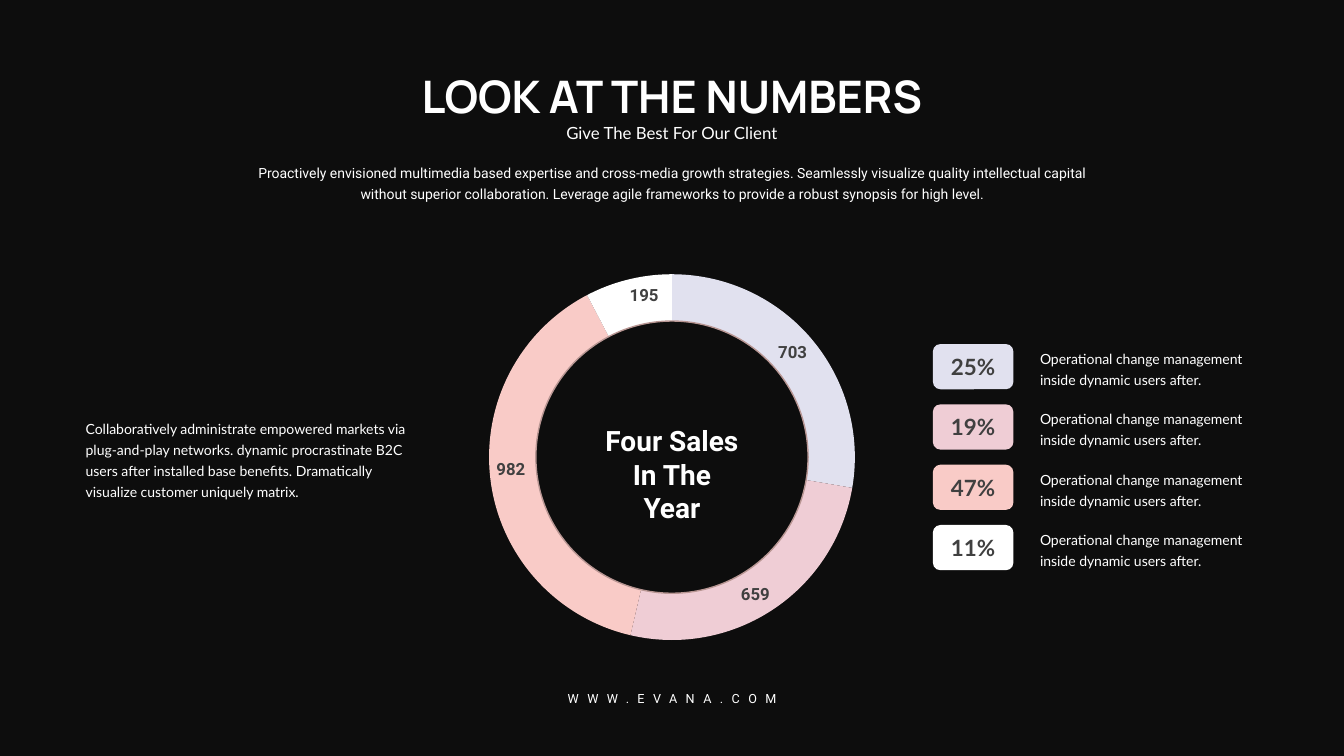
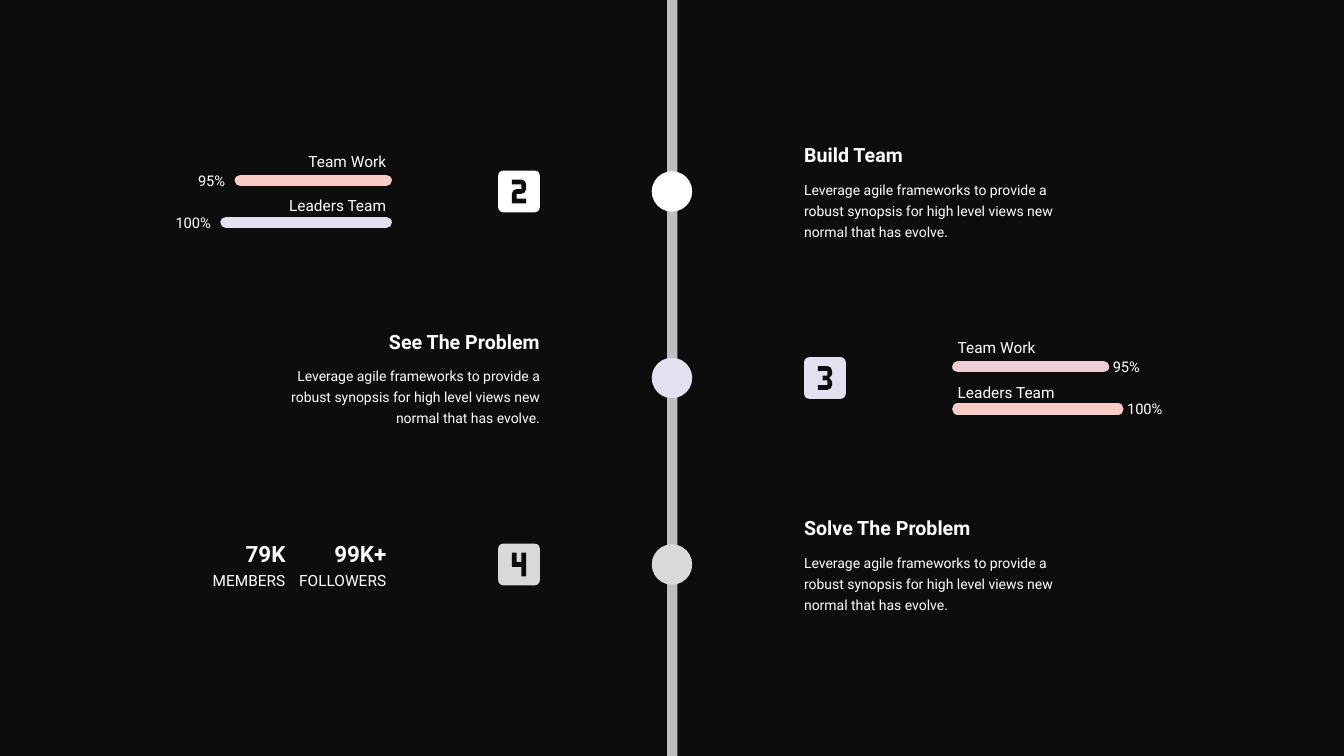
import lxml.etree
import pptx
import pptx.chart.data
import pptx.dml.color
import pptx.enum.chart
import pptx.enum.shapes
import pptx.enum.text
import pptx.oxml.ns
import pptx.util

Cm = pptx.util.Cm
Pt = pptx.util.Pt
SHAPES = pptx.enum.shapes.MSO_SHAPE
ALIGN = pptx.enum.text.PP_ALIGN
ANCHOR = pptx.enum.text.MSO_ANCHOR

# Shared palette
BLACK, WHITE, GRAPHITE = "0D0D0D", "FFFFFF", "404040"
LAVENDER, ROSE, PEACH = "E1E1EF", "EFCDD5", "F9CBC7"
SILVER, SPINE, RING = "D9D9D9", "BFBFBF", "B89693"

# Slide size and centre, in centimetres
WIDTH, HEIGHT = 33.87, 19.05
CENTRE, MIDDLE = WIDTH / 2, HEIGHT / 2

# Digit outlines on a grid 30 wide and 50 high
DIGITS = {
    2: [(30, 20), (30, 10), (27, 3), (20, 0), (0, 0), (0, 10), (20, 10), (20, 20),
        (10, 20), (3, 23), (0, 30), (0, 50), (30, 50), (30, 40), (10, 40),
        (10, 30), (20, 30), (27, 27)],
    3: [(30, 18), (30, 10), (27, 3), (20, 0), (0, 0), (0, 10), (20, 10), (20, 20),
        (10, 20), (10, 30), (20, 30), (20, 40), (0, 40), (0, 50), (20, 50),
        (27, 47), (30, 40), (30, 32), (24, 25)],
    4: [(30, 50), (30, 0), (20, 0), (20, 20), (10, 20), (10, 0), (0, 0), (0, 30),
        (20, 30), (20, 50)],
}


def color(value):
    return pptx.dml.color.RGBColor.from_string(value)


def write(frame, text, font="Roboto", size=10, fill=WHITE, bold=False,
          align=ALIGN.LEFT, anchor=ANCHOR.TOP, leading=None, tracking=None):
    """Fill a text frame, one paragraph per line of text."""
    frame.word_wrap = True
    frame.vertical_anchor = anchor
    frame.margin_left = frame.margin_right = frame.margin_top = frame.margin_bottom = 0
    for index, line in enumerate(text.split("\n")):
        paragraph = frame.add_paragraph() if index else frame.paragraphs[0]
        paragraph.alignment = align
        if leading:
            paragraph.line_spacing = Pt(leading)
        run = paragraph.add_run()
        run.text = line
        run.font.name, run.font.size, run.font.bold = font, Pt(size), bold
        run.font.color.rgb = color(fill)
        if tracking:
            run.font._element.set("spc", str(tracking * 100))


class Deck:
    """Holds the style and the current slide."""

    def __init__(self):
        self.presentation = pptx.Presentation()
        self.presentation.slide_width = Cm(WIDTH)
        self.presentation.slide_height = Cm(HEIGHT)
        self.slide = None

    def new_slide(self):
        self.slide = self.presentation.slides.add_slide(self.presentation.slide_layouts[6])
        background = self.slide.background.fill
        background.solid()
        background.fore_color.rgb = color(BLACK)

    def text(self, left, top, width, height, text, **style):
        box = self.slide.shapes.add_textbox(Cm(left), Cm(top), Cm(width), Cm(height))
        write(box.text_frame, text, **style)

    def centred(self, top, width, height, text, **style):
        self.text(CENTRE - width / 2, top, width, height, text, align=ALIGN.CENTER, **style)

    def paint(self, shape, fill, outline=None):
        shape.shadow.inherit = False
        shape.fill.solid()
        shape.fill.fore_color.rgb = color(fill)
        if outline:
            shape.line.color.rgb = color(outline)
            shape.line.width = Pt(1)
        else:
            shape.line.fill.background()

    def shape(self, kind, left, top, width, height, fill, outline=None):
        shape = self.slide.shapes.add_shape(kind, Cm(left), Cm(top), Cm(width), Cm(height))
        self.paint(shape, fill, outline)
        return shape

    def circle(self, x, y, diameter, fill, outline=None):
        return self.shape(SHAPES.OVAL, x - diameter / 2, y - diameter / 2,
                          diameter, diameter, fill, outline)

    def bar(self, start, end, y, fill):
        connector = self.slide.shapes.add_connector(
            pptx.enum.shapes.MSO_CONNECTOR.STRAIGHT, Cm(start), Cm(y), Cm(end), Cm(y))
        connector.line.color.rgb = color(fill)
        connector.line.width = Pt(8)
        properties = connector._element.spPr
        properties.find(pptx.oxml.ns.qn("a:ln")).set("cap", "rnd")
        lxml.etree.SubElement(properties, pptx.oxml.ns.qn("a:effectLst"))

    def badge(self, left, y, digit, fill):
        size, unit = 1.05, 0.012
        square = self.shape(SHAPES.ROUNDED_RECTANGLE, left, y - size / 2, size, size, fill)
        square.adjustments[0] = 0.12
        points = DIGITS[digit]
        builder = self.slide.shapes.build_freeform(*points[0], scale=Cm(unit))
        builder.add_line_segments(points[1:], close=True)
        self.paint(builder.convert_to_shape(Cm(left + size / 2 - 15 * unit),
                                            Cm(y - 25 * unit)), BLACK)

    def pie(self, x, y, diameter, values, fills):
        data = pptx.chart.data.CategoryChartData(number_format="#,##0")
        data.categories = [str(number) for number in range(1, len(values) + 1)]
        data.add_series("Series 1", values)
        chart = self.slide.shapes.add_chart(
            pptx.enum.chart.XL_CHART_TYPE.PIE, Cm(x - diameter / 2), Cm(y - diameter / 2),
            Cm(diameter), Cm(diameter), data).chart
        chart.has_legend = chart.has_title = False
        chart.font.name, chart.font.size = "Calibri", Pt(10)
        plot = chart.plots[0]
        plot.vary_by_categories = True
        for index, fill in enumerate(fills):
            point = plot.series[0].points[index].format
            point.fill.solid()
            point.fill.fore_color.rgb = color(fill)
            point.line.fill.background()
        plot.has_data_labels = True
        labels = plot.data_labels
        labels.show_value = True
        labels.position = pptx.enum.chart.XL_LABEL_POSITION.INSIDE_END
        labels.number_format, labels.number_format_is_linked = "#,##0", False
        labels.font.name, labels.font.size, labels.font.bold = "Roboto", Pt(12), True
        labels.font.color.rgb = color(GRAPHITE)
        # Stretch the pie over the whole chart frame
        area = chart._chartSpace.chart.plotArea
        for old in area.findall(pptx.oxml.ns.qn("c:layout")):
            area.remove(old)
        settings = {"layoutTarget": "inner", "xMode": "edge", "yMode": "edge",
                    "x": "0", "y": "0", "w": "1", "h": "1"}
        layout = lxml.etree.Element(pptx.oxml.ns.qn("c:layout"))
        manual = lxml.etree.SubElement(layout, pptx.oxml.ns.qn("c:manualLayout"))
        for name, value in settings.items():
            lxml.etree.SubElement(manual, pptx.oxml.ns.qn("c:" + name)).set("val", value)
        area.insert(0, layout)

    # Timeline parts: offset is the distance from the spine, side is -1 or 1
    def beside(self, side, offset, top, width, height, text, **style):
        left = CENTRE + offset if side > 0 else CENTRE - offset - width
        self.text(left, top, width, height, text,
                  align=ALIGN.LEFT if side > 0 else ALIGN.RIGHT, **style)

    def article(self, side, y, heading):
        self.beside(side, 3.33, y - 1.22, 6.32, 0.6, heading, size=14, bold=True)
        self.beside(side, 3.33, y - 0.36, 6.32, 1.56,
                    "Leverage agile frameworks to provide a robust synopsis for high level "
                    "views new normal that has evolve.", leading=15)

    def skills(self, side, y, fills):
        gap = 0.23 if side > 0 else 0.38
        rows = [("Team Work", "95%", 3.68, -1.0, -0.28),
                ("Leaders Team", "100%", 4.04, 0.13, 0.78)]
        for (label, percent, length, label_top, bar_y), fill in zip(rows, fills):
            self.beside(side, 7.2, y + label_top, 3.42, 0.48, label, size=11)
            self.bar(CENTRE + side * 7.2, CENTRE + side * (7.2 + length), y + bar_y, fill)
            self.beside(side, 7.2 + length + gap, y + bar_y - 0.22, 1.02, 0.46,
                        percent, size=10.5)

    def counters(self, side, y, counters):
        for index, (value, label) in enumerate(counters):
            offset = 7.2 + index * 2.54
            self.beside(side, offset, y - 0.61, 2.54, 0.68, value, size=16, bold=True)
            self.beside(side, offset, y + 0.15, 2.54, 0.48, label, size=11, leading=14)


def numbers_slide(deck):
    deck.new_slide()

    # Heading
    deck.centred(1.85, 13.44, 1.24, "LOOK AT THE NUMBERS", font="Manrope", size=32,
                 bold=True, leading=35, anchor=ANCHOR.MIDDLE)
    deck.centred(3.1, 12.5, 0.5, "Give The Best For Our Client", font="Lato", size=12)
    deck.centred(4.04, 21.13, 1.02,
                 "Proactively envisioned multimedia based expertise and cross-media growth "
                 "strategies. Seamlessly visualize quality intellectual capital without "
                 "superior collaboration. Leverage agile frameworks to provide a robust "
                 "synopsis for high level.", leading=15)

    # Ring chart
    fills = [LAVENDER, ROSE, PEACH, WHITE]
    deck.pie(CENTRE, 11.52, 9.22, [703, 659, 982, 195], fills)
    deck.circle(CENTRE, 11.52, 6.86, BLACK, RING)
    deck.centred(10.67, 3.52, 1.7, "Four Sales\nIn The Year", size=20, bold=True)

    # Side note
    deck.text(2.16, 10.49, 8.1, 2.08,
              "Collaboratively administrate empowered markets via plug-and-play networks. "
              "dynamic procrastinate B2C users after installed base benefits. Dramatically "
              "visualize customer uniquely matrix.", font="Lato", leading=15)

    # Legend
    for index, (percent, fill) in enumerate(zip(["25%", "19%", "47%", "11%"], fills)):
        top = 8.67 + index * 1.52
        tile = deck.shape(SHAPES.ROUNDED_RECTANGLE, 23.51, top, 2.03, 1.14, fill)
        write(tile.text_frame, percent, font="Lato", size=16, fill=GRAPHITE, bold=True,
              align=ALIGN.CENTER, anchor=ANCHOR.MIDDLE)
        deck.text(26.21, top + 0.06, 5.7, 1.02,
                  "Operational change management inside dynamic users after.",
                  font="Lato", leading=15)

    # Footer
    deck.centred(17.4, 6.35, 0.38, "WWW.EVANA.COM", size=9, tracking=6)


def timeline_slide(deck):
    deck.new_slide()
    deck.shape(SHAPES.RECTANGLE, CENTRE - 0.12, 0, 0.26, HEIGHT, SPINE)

    # Steps: the article sits on one side, the badge and figures on the other
    steps = [(2, "Build Team", 1, WHITE),
             (3, "See The Problem", -1, LAVENDER),
             (4, "Solve The Problem", 1, SILVER)]
    for digit, heading, side, fill in steps:
        y = MIDDLE + (digit - 3) * 4.7
        deck.circle(CENTRE, y, 1.02, fill)
        deck.article(side, y, heading)
        deck.badge(CENTRE + 3.33 if side < 0 else CENTRE - 4.38, y, digit, fill)
        if digit == 2:
            deck.skills(-side, y, [PEACH, LAVENDER])
        elif digit == 3:
            deck.skills(-side, y, [ROSE, PEACH])
        else:
            deck.counters(-side, y, [("99K+", "FOLLOWERS"), ("79K", "MEMBERS")])


def main():
    deck = Deck()
    numbers_slide(deck)
    timeline_slide(deck)
    deck.presentation.save("out.pptx")


if __name__ == "__main__":
    main()
